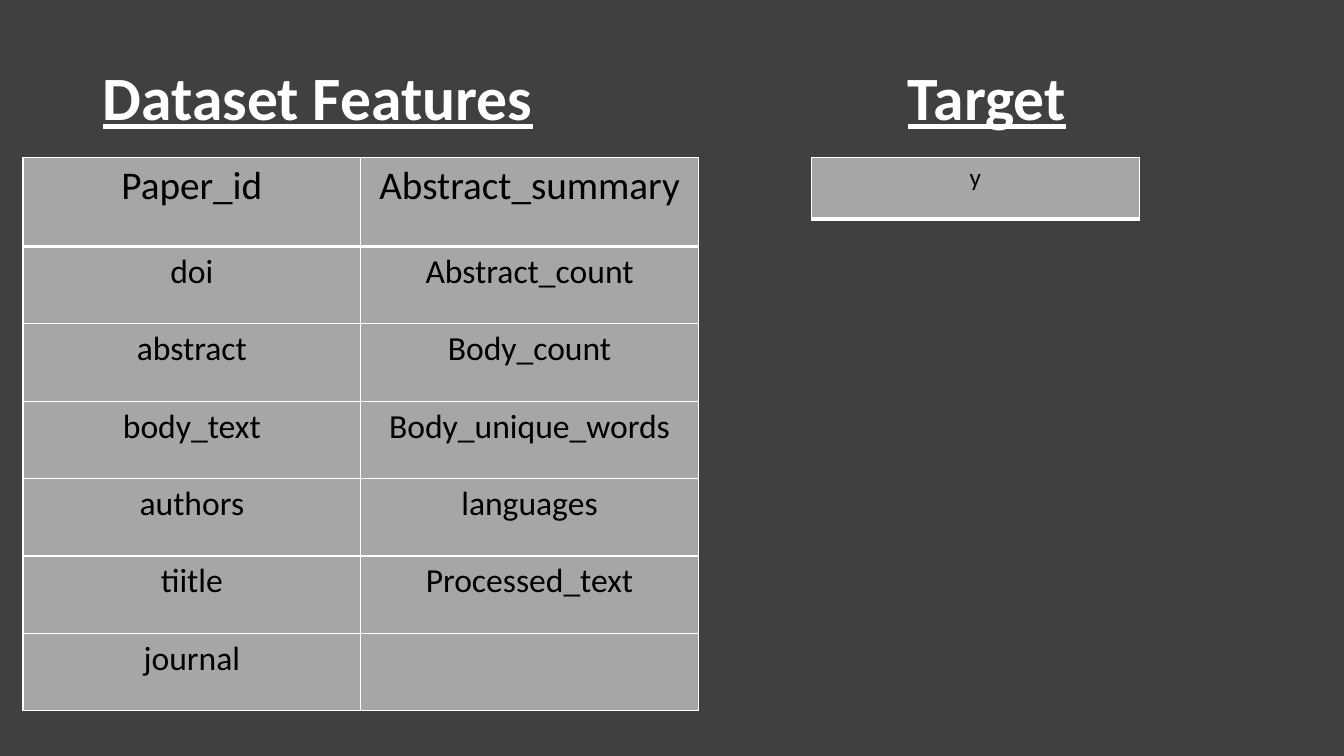
from dataclasses import dataclass

from lxml import etree
from pptx import Presentation
from pptx.dml.color import RGBColor
from pptx.enum.text import MSO_ANCHOR, PP_ALIGN
from pptx.oxml.ns import qn
from pptx.util import Cm, Pt

CENTER = PP_ALIGN.CENTER
MIDDLE = MSO_ANCHOR.MIDDLE

FEATURES = [
    ("Paper_id", "Abstract_summary"),
    ("doi", "Abstract_count"),
    ("abstract", "Body_count"),
    ("body_text", "Body_unique_words"),
    ("authors", "languages"),
    ("tiitle", "Processed_text"),
    ("journal", ""),
]
TARGET = [("y",)]


@dataclass(frozen=True)
class Theme:
    font: str = "Calibri"
    background: str = "404040"
    heading: str = "FFFFFF"
    cell: str = "A6A6A6"
    cell_text: str = "000000"
    border: str = "FFFFFF"
    heading_size: int = 44
    header_size: int = 28
    body_size: int = 24
    target_size: int = 18
    thin: int = 1
    thick: int = 3


class PageBuilder:
    def __init__(self, page, theme):
        self.page = page
        self.theme = theme

    def background(self):
        fill = self.page.background.fill
        fill.solid()
        fill.fore_color.rgb = RGBColor.from_string(self.theme.background)

    def style_font(self, font, size, color):
        font.name = self.theme.font
        font.size = Pt(size)
        font.color.rgb = RGBColor.from_string(color)

    def heading(self, text, left, width):
        box = self.page.shapes.add_textbox(Cm(left), Cm(0.69), Cm(width), Cm(3.68))
        frame = box.text_frame
        frame.word_wrap = True
        frame.vertical_anchor = MIDDLE
        para = frame.paragraphs[0]
        para.text = text
        para.line_spacing = 0.9
        self.style_font(para.font, self.theme.heading_size, self.theme.heading)
        para.font.bold = True
        para.font.underline = True

    def cell_borders(self, cell, bottom):
        """Draw thin edges, with the bottom edge at its own width in points."""
        properties = cell._tc.get_or_add_tcPr()
        thin = self.theme.thin
        for side, width in zip("LRTB", (thin, thin, thin, bottom)):
            line = etree.SubElement(properties, qn(f"a:ln{side}"), w=str(Pt(width)))
            fill = etree.SubElement(line, qn("a:solidFill"))
            etree.SubElement(fill, qn("a:srgbClr"), val=self.theme.border)

    def table(self, rows, left, column_width, heights, sizes):
        """Place a table whose first row ends in a thick line."""
        columns = len(rows[0])
        table = self.page.shapes.add_table(
            len(rows), columns, Cm(left), Cm(3.97),
            Cm(column_width * columns), Cm(sum(heights))).table
        table.first_row = False
        table.horz_banding = False
        for column in table.columns:
            column.width = Cm(column_width)
        for index, (texts, height, size) in enumerate(zip(rows, heights, sizes)):
            table.rows[index].height = Cm(height)
            bottom = self.theme.thin if index else self.theme.thick
            for cell, text in zip(table.rows[index].cells, texts):
                self.cell_borders(cell, bottom)
                cell.fill.solid()
                cell.fill.fore_color.rgb = RGBColor.from_string(self.theme.cell)
                para = cell.text_frame.paragraphs[0]
                para.text = text
                para.alignment = CENTER
                self.style_font(para.font, size, self.theme.cell_text)


def main():
    deck = Presentation()
    deck.slide_width, deck.slide_height = Cm(33.87), Cm(19.05)
    theme = Theme()
    builder = PageBuilder(deck.slides.add_slide(deck.slide_layouts[6]), theme)
    builder.background()
    builder.heading("Dataset Features", 2.34, 13)
    builder.heading("Target", 22.63, 6)
    body_rows = len(FEATURES) - 1
    builder.table(FEATURES, 0.58, 8.51, [2.24] + [1.95] * body_rows,
                  [theme.header_size] + [theme.body_size] * body_rows)
    builder.table(TARGET, 20.45, 8.26, [1.55], [theme.target_size])
    deck.save("out.pptx")


if __name__ == "__main__":
    main()
